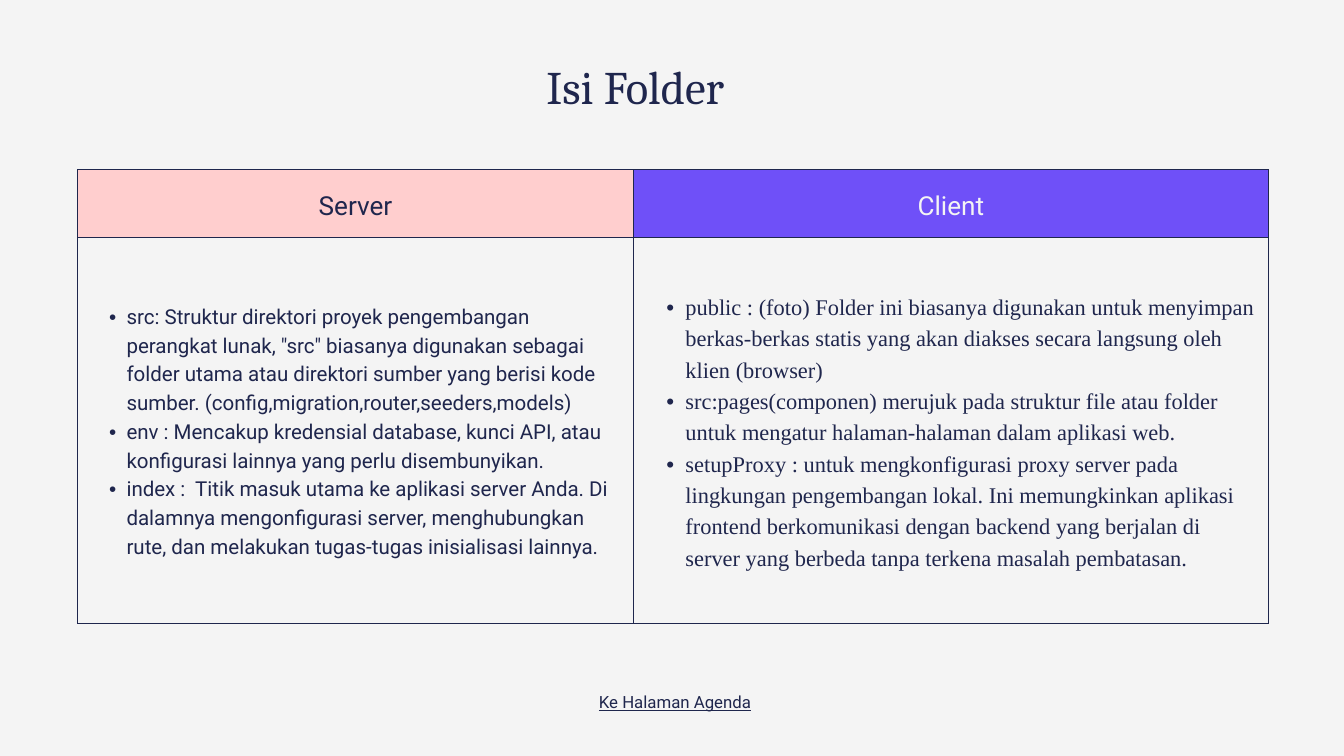
from lxml.etree import SubElement
from pptx import Presentation
from pptx.dml.color import RGBColor
from pptx.enum.text import MSO_ANCHOR as Anchor, PP_ALIGN as Align
from pptx.oxml import parse_xml
from pptx.oxml.ns import nsdecls, qn
from pptx.util import Pt

COLORS = {"navy": "1F264D", "paper": "F4F4F4", "pink": "FFCECE", "violet": "6F50F8"}
BORDER = (
    '<a:{side} {ns} w="9525"><a:solidFill><a:srgbClr val="{color}"/></a:solidFill></a:{side}>'
)


def write(paragraph, text, leading, color="navy", **font_format):
    """Fill a paragraph with one run; leading is a multiple of the font size."""
    run = paragraph.add_run()
    run.text = text
    run.font.color.rgb = RGBColor.from_string(COLORS[color])
    for name, value in font_format.items():
        setattr(run.font, name, value)
    paragraph.line_spacing = Pt(round(font_format["size"].pt * leading, 1))


def style_cell(cell, fill):
    """Give a cell its fill, margins, anchor and thin border."""
    cell.fill.solid()
    cell.fill.fore_color.rgb = RGBColor.from_string(COLORS[fill])
    cell.vertical_anchor = Anchor.MIDDLE
    for side in ("left", "top", "right", "bottom"):
        setattr(cell, f"margin_{side}", Pt(15))
    properties = cell._tc.get_or_add_tcPr()
    for index, side in enumerate(("lnL", "lnR", "lnT", "lnB")):
        border = BORDER.format(side=side, ns=nsdecls("a"), color=COLORS["navy"])
        properties.insert(index, parse_xml(border))


deck = Presentation()
deck.slide_width, deck.slide_height = Pt(1440), Pt(810)
slide = deck.slides.add_slide(deck.slide_layouts[6])
slide.background.fill.solid()
slide.background.fill.fore_color.rgb = RGBColor.from_string(COLORS["paper"])

# Folder table: one column per side of the application
folders = [
    {
        "heading": "Server", "width": 595.4, "fill": "pink", "color": "navy",
        "font": {"size": Pt(22), "name": "Roboto"}, "indent": 18.7,
        "items": [
            'src: Struktur direktori proyek pengembangan perangkat lunak, "src" biasanya '
            "digunakan sebagai folder utama atau direktori sumber yang berisi kode sumber. "
            "(config,migration,router,seeders,models)",
            "env : Mencakup kredensial database, kunci API, atau konfigurasi lainnya yang "
            "perlu disembunyikan.",
            "index :  Titik masuk utama ke aplikasi server Anda. Di dalamnya mengonfigurasi "
            "server, menghubungkan rute, dan melakukan tugas-tugas inisialisasi lainnya.",
        ],
    },
    {
        "heading": "Client", "width": 680.4, "fill": "violet", "color": "paper",
        "font": {"size": Pt(24), "name": "Times New Roman"}, "indent": 20.4,
        "items": [
            "public : (foto) Folder ini biasanya digunakan untuk menyimpan berkas-berkas "
            "statis yang akan diakses secara langsung oleh klien (browser)",
            "src:pages(componen) merujuk pada struktur file atau folder untuk mengatur "
            "halaman-halaman dalam aplikasi web.",
            "setupProxy : untuk mengkonfigurasi proxy server pada lingkungan pengembangan "
            "lokal. Ini memungkinkan aplikasi frontend berkomunikasi dengan backend yang "
            "berjalan di server yang berbeda tanpa terkena masalah pembatasan.",
        ],
    },
]
row_heights = (72.7, 413.3)
table = slide.shapes.add_table(
    2, 2, Pt(83.2), Pt(181.4), Pt(sum(f["width"] for f in folders)), Pt(sum(row_heights))
).table
for row, height in zip(table.rows, row_heights):
    row.height = Pt(height)

for column, folder in enumerate(folders):
    table.columns[column].width = Pt(folder["width"])
    heading, contents = table.cell(0, column), table.cell(1, column)
    style_cell(heading, folder["fill"])
    style_cell(contents, "paper")

    title_line = heading.text_frame.paragraphs[0]
    title_line.alignment = Align.CENTER
    write(title_line, folder["heading"], 1.4, folder["color"], size=Pt(28), name="Roboto")

    for number, item in enumerate(folder["items"]):
        frame = contents.text_frame
        entry = frame.add_paragraph() if number else frame.paragraphs[0]
        entry.level = 1
        properties = entry._p.get_or_add_pPr()
        properties.set("marL", str(Pt(2 * folder["indent"])))
        properties.set("indent", str(-Pt(folder["indent"])))
        SubElement(properties, qn("a:buFont"), typeface="Arial")
        SubElement(properties, qn("a:buChar"), char="•")
        write(entry, item, 1.4, **folder["font"])

# Agenda line and slide title
captions = [
    ("Ke Halaman Agenda", (640.1, 739.4, 166.3, 22.3),
     {"size": Pt(18), "name": "Roboto", "underline": True}),
    ("Isi Folder", (577.4, 56.9, 206.6, 63.4), {"size": Pt(50), "name": "Cambria"}),
]
for text, place, font_format in captions:
    frame = slide.shapes.add_textbox(*map(Pt, place)).text_frame
    frame.word_wrap = True
    for side in ("left", "top", "right", "bottom"):
        setattr(frame, f"margin_{side}", 0)
    frame.paragraphs[0].alignment = Align.CENTER
    write(frame.paragraphs[0], text, 1.3, **font_format)

deck.save("out.pptx")
